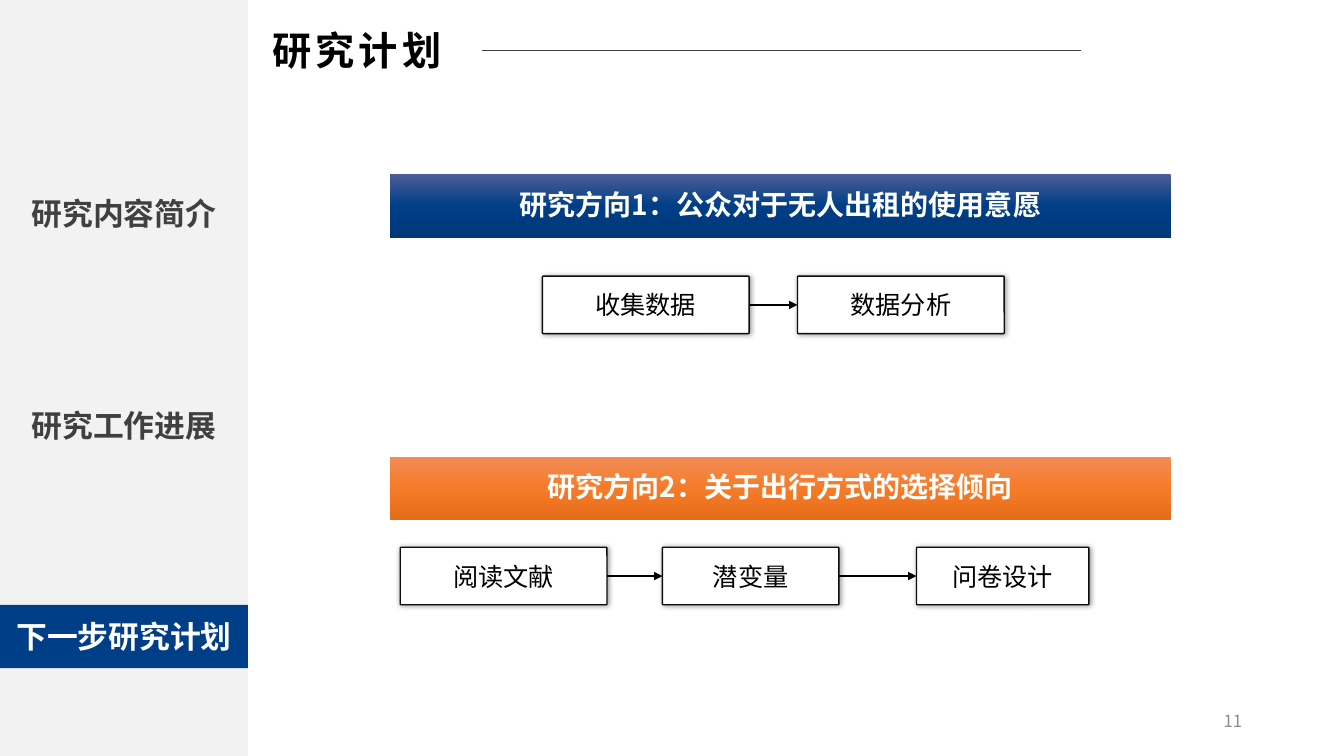
from itertools import pairwise

from lxml import etree
from pptx import Presentation
from pptx import util as u
from pptx.dml.color import RGBColor
from pptx.enum import shapes, text
from pptx.oxml.ns import qn

FONT = "Noto Sans CJK SC"
COLORS = {
    "white": "FFFFFF", "black": "000000", "panel": "F2F2F2", "rule": "404040",
    "inactive": "404040", "active": "003E87", "number": "8C8C8C", "outline": "0D0D0D",
}
GRADIENTS = {
    "blue": ("4B5D94", "003E87", "003778"),
    "orange": ("F18C57", "F67B28", "E56C19"),
}
ALIGN, ANCHOR = text.PP_ALIGN, text.MSO_ANCHOR


def rgb(name):
    return RGBColor.from_string(COLORS[name])


def inches(box):
    return [u.Inches(length) for length in box]


def write(shape, words, size, color, bold=False, align=ALIGN.CENTER,
          anchor=ANCHOR.MIDDLE, inset=None):
    """Fill a shape with one formatted paragraph and return it."""
    frame = shape.text_frame
    frame.word_wrap = True
    frame.vertical_anchor = anchor
    if inset is not None:
        frame.margin_left = frame.margin_right = u.Inches(inset)
        frame.margin_top = frame.margin_bottom = u.Inches(inset)
    paragraph = frame.paragraphs[0]
    paragraph.text = words
    paragraph.alignment = align
    font = paragraph.font
    font.name, font.size, font.bold = FONT, u.Pt(size), bold
    font.color.rgb = rgb(color)
    properties = paragraph._p.pPr.find(qn("a:defRPr"))
    etree.SubElement(properties, qn("a:ea"), typeface=FONT)
    return paragraph


def add_block(parent, box, fill, kind=shapes.MSO_SHAPE.RECTANGLE):
    block = parent.add_shape(kind, *inches(box))
    block.shadow.inherit = False
    block.fill.solid()
    block.fill.fore_color.rgb = rgb(fill)
    block.line.fill.background()
    return block


def add_line(parent, start, end, color, width):
    line = parent.add_connector(shapes.MSO_CONNECTOR.STRAIGHT, *inches(start + end))
    line.line.color.rgb = rgb(color)
    line.line.width = u.Pt(width)
    etree.SubElement(line._element.spPr, qn("a:effectLst"))
    return line


def add_sidebar(slide, box, topics, current):
    left, top, width, height = box
    add_block(slide.shapes, box, "panel")
    for index, topic in enumerate(topics):
        active = topic == current
        tab_box = (left, top + 1.8 + index * 2.1, width, 0.63)
        tab = add_block(slide.shapes, tab_box, "active" if active else "panel")
        write(tab, topic, 22, "white" if active else "inactive", bold=True, inset=0)


def add_heading(slide, box, words):
    left, top, width, height = box
    middle = top + 0.29
    add_line(slide.shapes, (left + 1.14, middle), (left + 8.12, middle), "rule", 0.5)
    title = slide.shapes.title
    title.left, title.top, title.width, title.height = inches(box)
    title.fill.solid()
    title.fill.fore_color.rgb = rgb("white")
    paragraph = write(title, words, 28, "black", bold=True, align=ALIGN.LEFT,
                      anchor=ANCHOR.TOP)
    paragraph._p.pPr.find(qn("a:defRPr")).set("spc", "300")
    # The white title box hides the start of the rule.
    slide.shapes._spTree.append(title._element)


def add_banner(slide, box, words, gradient):
    banner = add_block(slide.shapes, box, "white")
    banner.fill.gradient()
    banner.fill.gradient_angle = 270
    stops = banner._element.spPr.find(qn("a:gradFill")).find(qn("a:gsLst"))
    for stop in list(stops):
        stops.remove(stop)
    for index, color in enumerate(GRADIENTS[gradient]):
        stop = etree.SubElement(stops, qn("a:gs"), pos=str(index * 50000))
        etree.SubElement(stop, qn("a:srgbClr"), val=color)
    write(banner, words, 20, "white", bold=True, anchor=ANCHOR.TOP).line_spacing = 1.25


def add_step(parent, box, words):
    step = add_block(parent, box, "white", shapes.MSO_SHAPE.ROUNDED_RECTANGLE)
    step.adjustments[0] = 0.014
    step.line.color.rgb = rgb("outline")
    step.line.width = u.Pt(1)
    effects = step._element.spPr.find(qn("a:effectLst"))
    shadow = etree.SubElement(effects, qn("a:outerShdw"), blurRad=str(u.Pt(4)),
                              dist=str(u.Pt(1)), dir="2700000", algn="tl", rotWithShape="0")
    tint = etree.SubElement(shadow, qn("a:srgbClr"), val=COLORS["black"])
    etree.SubElement(tint, qn("a:alpha"), val="40000")
    write(step, words, 18, "black", inset=0)
    return step


def add_flow(slide, top, steps):
    """Draw a row of (words, left, width) steps joined by arrows."""
    group = slide.shapes.add_group_shape().shapes
    boxes = [add_step(group, (left, top, width, 0.57), words)
             for words, left, width in steps]
    for source, target in pairwise(boxes):
        arrow = add_line(group, (0, 0), (1, 0), "black", 1.5)
        arrow.begin_connect(source, 3)
        arrow.end_connect(target, 1)
        etree.SubElement(arrow.line._get_or_add_ln(), qn("a:tailEnd"), type="triangle")


def add_direction(slide, box, words, gradient, flow_offset, steps):
    add_banner(slide, box, words, gradient)
    add_flow(slide, box[1] + flow_offset, steps)


def add_page_number(slide, box, number):
    page = slide.shapes.add_textbox(*inches(box))
    write(page, number, 12, "number", align=ALIGN.RIGHT)


def main():
    prs = Presentation()
    prs.slide_width, prs.slide_height = u.Inches(13.33), u.Inches(7.5)
    slide = prs.slides.add_slide(prs.slide_layouts[5])
    add_sidebar(slide, (0, 0, 2.46, 7.5),
                ["研究内容简介", "研究工作进展", "下一步研究计划"], "下一步研究计划")
    add_heading(slide, (2.6, 0.21, 2.18, 0.57), "研究计划")
    add_direction(slide, (3.87, 1.73, 7.74, 0.63),
                  "研究方向1：公众对于无人出租的使用意愿", "blue", 1.01,
                  [("收集数据", 5.38, 2.05), ("数据分析", 7.91, 2.05)])
    add_direction(slide, (3.87, 4.53, 7.74, 0.63),
                  "研究方向2：关于出行方式的选择倾向", "orange", 0.9,
                  [("阅读文献", 3.97, 2.05), ("潜变量", 6.57, 1.75), ("问卷设计", 9.09, 1.71)])
    add_page_number(slide, (9.42, 6.95, 3, 0.4), "11")
    prs.save("out.pptx")


if __name__ == "__main__":
    main()
